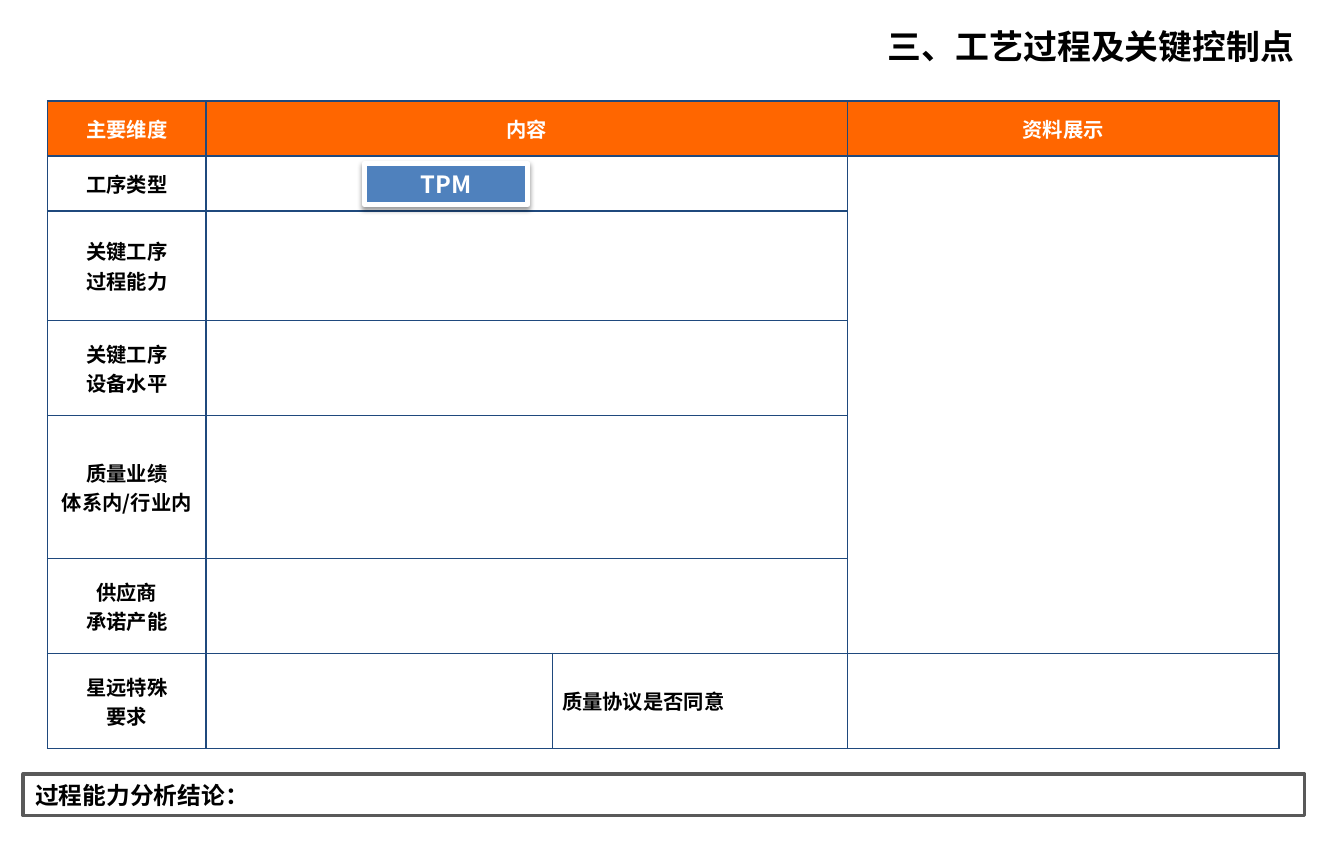
from lxml.etree import SubElement
from pptx import Presentation
from pptx.dml.color import RGBColor
from pptx.enum.shapes import MSO_SHAPE as Shape
from pptx.enum.text import MSO_ANCHOR as Anchor, MSO_AUTO_SIZE as AutoSize, PP_ALIGN as Align
from pptx.oxml.ns import qn
from pptx.util import Inches, Pt

FONT = "Noto Sans CJK SC"
CM_PER_INCH = 2.54
BLACK, WHITE, ORANGE, NAVY = "000000", "FFFFFF", "FF6600", "1F497D"
COLUMN_WIDTHS = [1.3, 2.84, 2.42, 3.54]
ROW_HEIGHTS = [0.45, 0.45, 0.9, 0.78, 1.17, 0.78, 0.78]
ROWS = [
    ["主要维度", "内容", "", "资料展示"],
    ["工序类型", "", "", ""],
    ["关键工序\n过程能力", "", "", ""],
    ["关键工序\n设备水平", "", "", ""],
    ["质量业绩\n体系内/行业内", "", "", ""],
    ["供应商\n承诺产能", "", "", ""],
    ["星远特殊\n要求", "", "质量协议是否同意", ""],
]


def rgb(value):
    """Turn a hex string into a colour."""
    return RGBColor.from_string(value)


def write(frame, text, size, color=BLACK, align=Align.LEFT):
    """Fill a text frame with bold paragraphs of one style."""
    frame.text = text
    frame.word_wrap = True
    for paragraph in frame.paragraphs:
        paragraph.alignment = align
        font = paragraph.font
        font.size, font.bold, font.name = Pt(size), True, FONT
        font.color.rgb = rgb(color)
        defaults = paragraph._p.pPr.find(qn("a:defRPr"))
        SubElement(defaults, qn("a:ea"), typeface=FONT)


def add_title(slide, text, left, top, width, height):
    """Place the slide title at the upper right."""
    title = slide.shapes.title
    title.left, title.top = Inches(left), Inches(top)
    title.width, title.height = Inches(width), Inches(height)
    title.text_frame.auto_size = AutoSize.NONE
    title.text_frame.vertical_anchor = Anchor.MIDDLE
    write(title.text_frame, text, 20, align=Align.RIGHT)


def add_box(slide, text, bounds, fill, line, line_width, color, align):
    """Add an outlined rectangle with a 14 pt label."""
    box = slide.shapes.add_shape(Shape.RECTANGLE, *map(Inches, bounds))
    box.shadow.inherit = False
    box.fill.solid()
    box.fill.fore_color.rgb = rgb(fill)
    box.line.color.rgb = rgb(line)
    box.line.width = Pt(line_width)
    frame = box.text_frame
    frame.vertical_anchor = Anchor.MIDDLE
    frame.margin_top = frame.margin_bottom = 0
    write(frame, text, 14, color, align)
    return box


def add_shadow(box):
    """Give a box a soft shadow falling straight down."""
    effects = box._element.spPr.find(qn("a:effectLst"))
    shadow = SubElement(effects, qn("a:outerShdw"), blurRad=str(Pt(3.1)),
                        dist=str(Pt(1.6)), dir="5400000", rotWithShape="0")
    tint = SubElement(shadow, qn("a:srgbClr"), val=BLACK)
    SubElement(tint, qn("a:alpha"), val="38000")


def add_borders(cell):
    """Draw a thin navy line on each side of a cell."""
    properties = cell._tc.get_or_add_tcPr()
    for side in ("lnL", "lnR", "lnT", "lnB"):
        border = SubElement(properties, qn(f"a:{side}"), w=str(Pt(1)))
        fill = SubElement(border, qn("a:solidFill"))
        SubElement(fill, qn("a:srgbClr"), val=NAVY)


def format_cell(cell, text, is_header, align):
    """Write and style one table cell."""
    add_borders(cell)
    cell.vertical_anchor = Anchor.MIDDLE
    cell.margin_left = cell.margin_right = Inches(0.08)
    cell.margin_top = cell.margin_bottom = Inches(0.04)
    if is_header:
        cell.fill.solid()
        cell.fill.fore_color.rgb = rgb(ORANGE)
    else:
        cell.fill.background()
    write(cell.text_frame, text, 12, WHITE if is_header else BLACK, align)


def add_control_table(slide, left, top):
    """Add the table of process dimensions and evidence."""
    table = slide.shapes.add_table(
        len(ROWS), len(COLUMN_WIDTHS), Inches(left), Inches(top),
        Inches(sum(COLUMN_WIDTHS)), Inches(sum(ROW_HEIGHTS))).table
    table.horz_banding = False
    for column, width in zip(table.columns, COLUMN_WIDTHS):
        column.width = Inches(width)
    for row, height in zip(table.rows, ROW_HEIGHTS):
        row.height = Inches(height)
    for r, texts in enumerate(ROWS):
        for c, text in enumerate(texts):
            align = Align.CENTER if r == 0 or c == 0 else Align.LEFT
            format_cell(table.cell(r, c), text, r == 0, align)
    last = len(ROWS) - 1
    for r in range(last):
        table.cell(r, 1).merge(table.cell(r, 2))
    table.cell(1, 3).merge(table.cell(last - 1, 3))


def main():
    """Build and save the slide."""
    deck = Presentation()
    deck.slide_width = Inches(28 / CM_PER_INCH)
    deck.slide_height = Inches(18 / CM_PER_INCH)
    slide = deck.slides.add_slide(deck.slide_layouts[5])
    add_title(slide, "三、工艺过程及关键控制点", 6.22, 0.16, 4.5, 0.44)
    add_box(slide, "过程能力分析结论：", (0.19, 6.35, 10.51, 0.34),
            WHITE, "595959", 2.25, BLACK, Align.LEFT)
    add_control_table(slide, 0.39, 0.83)
    tpm = add_box(slide, "TPM", (2.99, 1.34, 1.34, 0.34),
                  "4F81BD", WHITE, 3, WHITE, Align.CENTER)
    add_shadow(tpm)
    deck.save("out.pptx")


if __name__ == "__main__":
    main()
